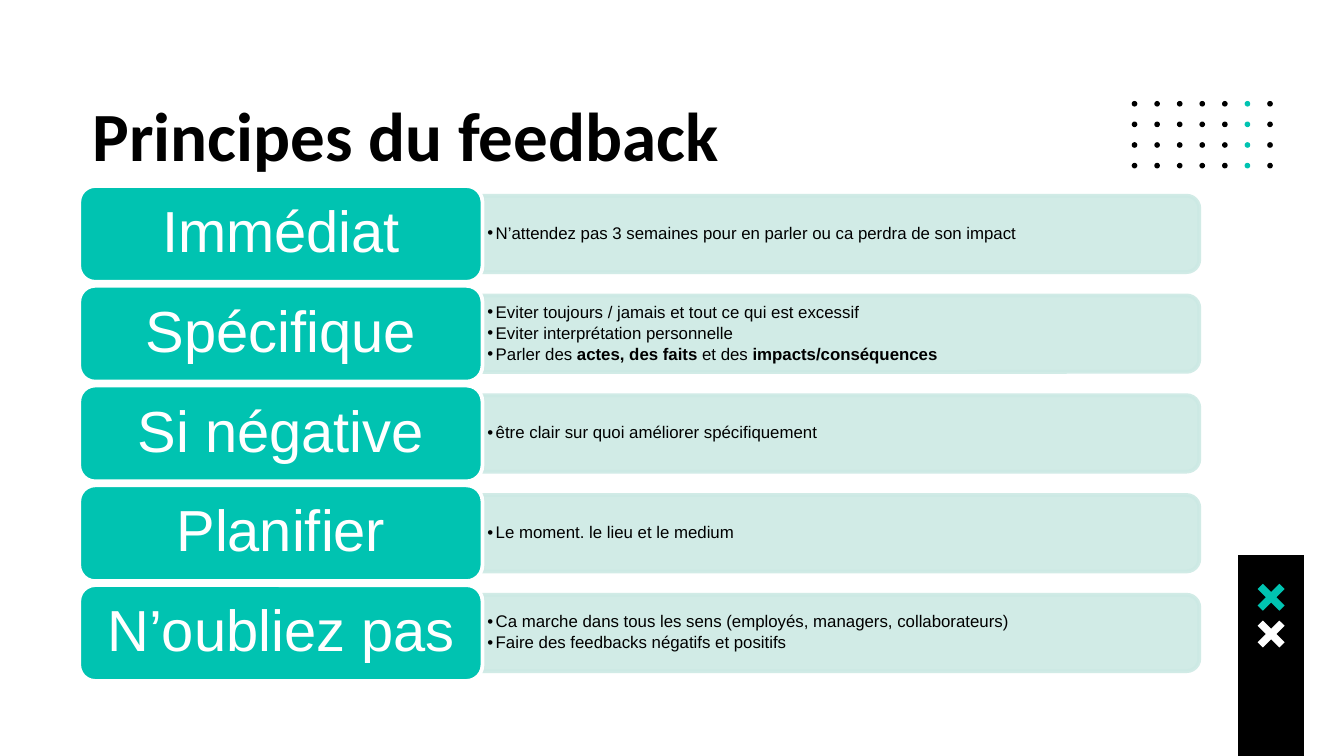
from typing import NamedTuple

from lxml.etree import SubElement
from pptx import Presentation
from pptx.dml.color import RGBColor
from pptx.enum.shapes import MSO_SHAPE
from pptx.enum.text import MSO_ANCHOR, MSO_AUTO_SIZE, PP_ALIGN
from pptx.oxml.ns import qn
from pptx.util import Pt

TEAL = RGBColor(0x00, 0xC3, 0xB1)
MINT = RGBColor(0xCC, 0xE9, 0xE4)
BLACK = RGBColor(0, 0, 0)
WHITE = RGBColor(255, 255, 255)

# All lengths are in points
LEFT, TOP, PITCH = 42.5, 99.7, 53.45
LABEL_W, LABEL_H = 216, 51.3
BAR_W, BAR_H = 384, 41


class Rule(NamedTuple):
    label: str
    notes: list[str]  # text between pairs of ** is bold


class Cross(NamedTuple):
    y: float
    color: RGBColor


RULES = [
    Rule("Immédiat", ["N’attendez pas 3 semaines pour en parler ou ca perdra de son impact"]),
    Rule("Spécifique", [
        "Eviter toujours / jamais et tout ce qui est excessif",
        "Eviter interprétation personnelle",
        "Parler des **actes, des faits** et des **impacts/conséquences**",
    ]),
    Rule("Si négative", ["être clair sur quoi améliorer spécifiquement"]),
    Rule("Planifier", ["Le moment. le lieu et le medium"]),
    Rule("N’oubliez pas", [
        "Ca marche dans tous les sens (employés, managers, collaborateurs)",
        "Faire des feedbacks négatifs et positifs",
    ]),
]
CROSSES = [Cross(320, TEAL), Cross(339.7, WHITE)]


def paint(shape, color: RGBColor) -> None:
    shape.shadow.inherit = False
    shape.fill.solid()
    shape.fill.fore_color.rgb = color
    shape.line.fill.background()


def edge(shape, color: RGBColor) -> None:
    shape.line.color.rgb = color
    shape.line.width = Pt(2)


def inset(frame, side: float, end: float) -> None:
    frame.margin_left = frame.margin_right = Pt(side)
    frame.margin_top = frame.margin_bottom = Pt(end)
    frame.word_wrap = True


def style(font, size: float, color: RGBColor, name: str = "Arial") -> None:
    font.name, font.size = name, Pt(size)
    font.color.rgb = color


def add_shape(slide, kind, x: float, y: float, w: float, h: float, color: RGBColor):
    shape = slide.shapes.add_shape(kind, Pt(x), Pt(y), Pt(w), Pt(h))
    paint(shape, color)
    return shape


def add_bullet(para) -> None:
    props = para._p.get_or_add_pPr()
    props.set("marL", str(Pt(4.5)))
    props.set("indent", str(-Pt(4.5)))
    tint = SubElement(props, qn("a:buClr"))
    SubElement(tint, qn("a:srgbClr"), val=str(BLACK))
    SubElement(props, qn("a:buFont"), typeface="Arial")
    SubElement(props, qn("a:buChar"), char="•")


def add_bar(slide, mid: float) -> None:
    x = LEFT + LABEL_W + (BAR_W - BAR_H) / 2
    bar = add_shape(slide, MSO_SHAPE.ROUND_2_SAME_RECTANGLE, x, mid - BAR_W / 2, BAR_H, BAR_W, MINT)
    bar.rotation = 90
    edge(bar, MINT)
    for tint in bar._element.spPr.iter(qn("a:srgbClr")):
        SubElement(tint, qn("a:alpha"), val="90000")


def add_notes(slide, mid: float, notes: list[str]) -> None:
    box = slide.shapes.add_textbox(Pt(LEFT + LABEL_W), Pt(mid - 18.4), Pt(382), Pt(36.8))
    frame = box.text_frame
    inset(frame, 2.6, 1.3)
    frame.vertical_anchor = MSO_ANCHOR.MIDDLE
    frame.text = "\n".join(notes)
    for para, note in zip(frame.paragraphs, notes):
        add_bullet(para)
        para.line_spacing = 0.9
        para.space_after = Pt(1.5)
        parts = note.split("**")
        para.runs[0].text = parts[0]
        for part in parts[1:]:
            para.add_run().text = part
        for i, run in enumerate(para.runs):
            style(run.font, 9, BLACK)
            run.font.bold = i % 2 == 1


def add_rule(slide, row: int, rule: Rule) -> None:
    top = TOP + row * PITCH
    mid = top + LABEL_H / 2
    add_bar(slide, mid)
    add_notes(slide, mid, rule.notes)
    tag = add_shape(slide, MSO_SHAPE.ROUNDED_RECTANGLE, LEFT, top, LABEL_W, LABEL_H, TEAL)
    edge(tag, WHITE)
    frame = tag.text_frame
    inset(frame, 9.2, 4.6)
    frame.vertical_anchor = MSO_ANCHOR.MIDDLE
    frame.text = rule.label
    para = frame.paragraphs[0]
    para.alignment = PP_ALIGN.CENTER
    para.line_spacing = 0.9
    style(para.runs[0].font, 31, WHITE)


def add_cross(slide, cross: Cross) -> None:
    mid, arm, tip, notch = 681, 4.4, 7.2, 2.8
    spots = [
        (-arm, -tip), (-tip, -arm), (-notch, 0), (-tip, arm), (-arm, tip), (0, notch),
        (arm, tip), (tip, arm), (notch, 0), (tip, -arm), (arm, -tip), (0, -notch),
    ]
    points = [(Pt(mid + x), Pt(cross.y + y)) for x, y in spots]
    pen = slide.shapes.build_freeform(*points[0])
    pen.add_line_segments(points[1:], close=True)
    paint(pen.convert_to_shape(), cross.color)


def main() -> None:
    deck = Presentation()
    deck.slide_width, deck.slide_height = Pt(720), Pt(405)
    slide = deck.slides.add_slide(deck.slide_layouts[5])

    # Dot grid, with one teal column
    for row in range(4):
        for col in range(7):
            color = TEAL if col == 5 else BLACK
            add_shape(slide, MSO_SHAPE.OVAL, 606.3 + col * 12.1, 54.1 + row * 11.05, 3, 3, color)

    # Corner band with crosses
    add_shape(slide, MSO_SHAPE.RECTANGLE, 663.3, 297.4, 35.2, 107.6, BLACK)
    for cross in CROSSES:
        add_cross(slide, cross)

    # Title
    title = slide.shapes.title
    title.left, title.top, title.width, title.height = Pt(42.5), Pt(42.5), Pt(638), Pt(57)
    frame = title.text_frame
    inset(frame, 7.2, 7.2)
    frame.auto_size = MSO_AUTO_SIZE.NONE
    frame.vertical_anchor = MSO_ANCHOR.TOP
    frame.text = "Principes du feedback"
    para = frame.paragraphs[0]
    para.alignment = PP_ALIGN.LEFT
    style(para.runs[0].font, 37, BLACK, "Calibri")
    para.runs[0].font.bold = True

    # Rules
    for row, rule in enumerate(RULES):
        add_rule(slide, row, rule)

    deck.save("out.pptx")


if __name__ == "__main__":
    main()
